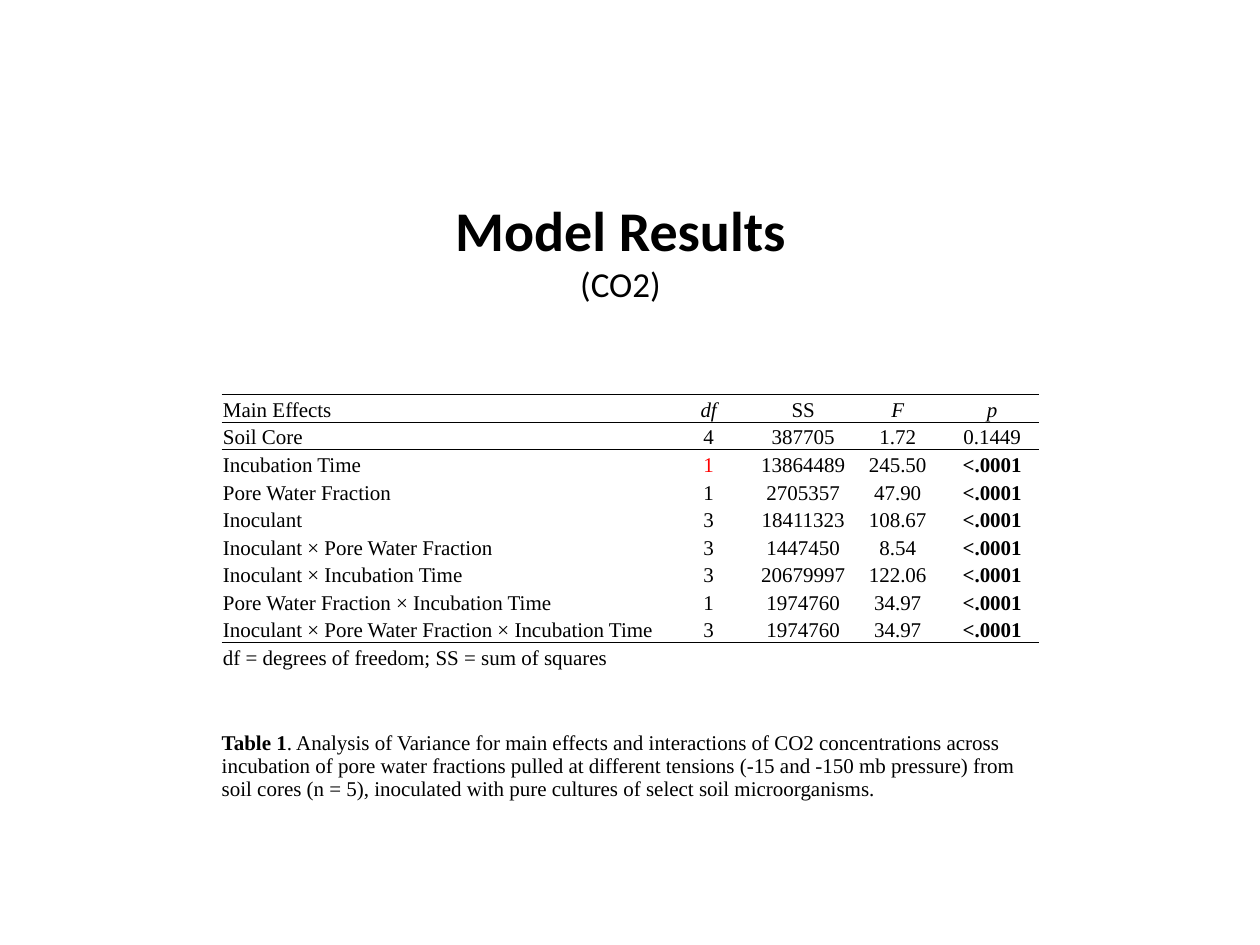
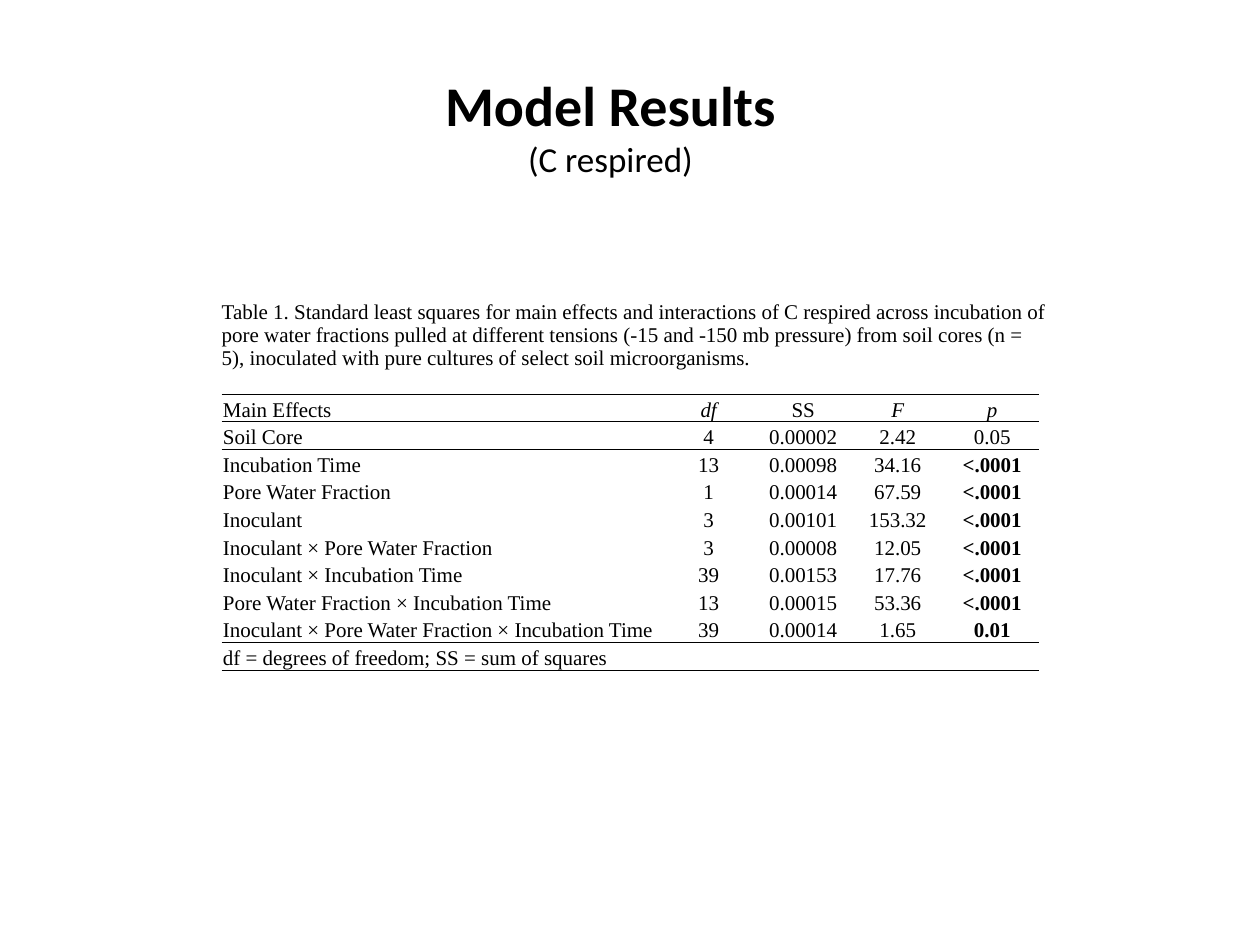
from lxml.etree import SubElement
from pptx import Presentation
from pptx.dml.color import RGBColor
from pptx.enum.text import MSO_ANCHOR as Anchor, MSO_AUTO_SIZE as AutoSize, PP_ALIGN as Align
from pptx.oxml.ns import qn
from pptx.util import Inches, Pt

BLACK = RGBColor(0x00, 0x00, 0x00)
RED = RGBColor(0xFF, 0x00, 0x00)
TITLE_FONT, TABLE_FONT = "Calibri", "Times New Roman"
TABLE_SIZE = Pt(12)
PLAIN_TABLE_STYLE = "{2D5ABB26-0587-4C30-8999-92F81FD0307C}"
TITLE_ONLY = 5

TABLE_LEFT, CAPTION_LEFT = Inches(1.76), Inches(1.75)
COLUMN_WIDTHS = [Inches(3.49)] + [Inches(0.75)] * 4
ROW_HEIGHT = Inches(2.19 / 10)
CAPTION_HEIGHT = Inches(0.61)
TITLE_WIDTH, TITLE_HEIGHT = Inches(2.85), Inches(0.98)

HEADINGS = ["Main Effects", "df", "SS", "F", "p"]
ITALIC_HEADINGS = {"df", "F", "p"}
EFFECTS = [
    "Soil Core",
    "Incubation Time",
    "Pore Water Fraction",
    "Inoculant",
    "Inoculant × Pore Water Fraction",
    "Inoculant × Incubation Time",
    "Pore Water Fraction × Incubation Time",
    "Inoculant × Pore Water Fraction × Incubation Time",
]
FOOTNOTE = ["df = degrees of freedom; SS = sum of squares", "", "", "", ""]
EMPTY_ROW = [""] * len(HEADINGS)
CAPTION_END = (
    "across incubation of pore water fractions pulled at different tensions "
    "(-15 and -150 mb pressure) from soil cores (n = 5), inoculated with pure "
    "cultures of select soil microorganisms."
)

MODELS = [
    {
        "response": "(CO2)",
        "title_at": (3.5, 1.5),
        "table_top": 3.13,
        "outer_rows": 0,
        "caption_top": 5.75,
        "caption_width": 6.5,
        "caption": [
            ("Table 1", True),
            (". Analysis of Variance for main effects and interactions of "
             "CO2 concentrations " + CAPTION_END, False),
        ],
        "red_cells": {("Incubation Time", 1)},
        "statistics": [
            ("4", "387705", "1.72", "0.1449"),
            ("1", "13864489", "245.50", "<.0001"),
            ("1", "2705357", "47.90", "<.0001"),
            ("3", "18411323", "108.67", "<.0001"),
            ("3", "1447450", "8.54", "<.0001"),
            ("3", "20679997", "122.06", "<.0001"),
            ("1", "1974760", "34.97", "<.0001"),
            ("3", "1974760", "34.97", "<.0001"),
        ],
    },
    {
        "response": "(C respired)",
        "title_at": (3.42, 0.51),
        "table_top": 2.91,
        "outer_rows": 1,
        "caption_top": 2.33,
        "caption_width": 6.58,
        "caption": [
            ("Table 1. Standard least squares for main effects and interactions of "
             "C respired " + CAPTION_END, False),
        ],
        "red_cells": set(),
        "statistics": [
            ("4", "0.00002", "2.42", "0.05"),
            ("13", "0.00098", "34.16", "<.0001"),
            ("1", "0.00014", "67.59", "<.0001"),
            ("3", "0.00101", "153.32", "<.0001"),
            ("3", "0.00008", "12.05", "<.0001"),
            ("39", "0.00153", "17.76", "<.0001"),
            ("13", "0.00015", "53.36", "<.0001"),
            ("39", "0.00014", "1.65", "0.01"),
        ],
    },
]


def add_plain_table(slide, left, top, widths, row_count, row_height):
    """Add a table without banding, grid or fills."""
    frame = slide.shapes.add_table(
        row_count, len(widths), left, top, sum(widths), row_height * row_count)
    table = frame.table
    table.first_row = table.horz_banding = False
    frame._element.find(".//" + qn("a:tableStyleId")).text = PLAIN_TABLE_STYLE
    for column, width in zip(table.columns, widths):
        column.width = width
    return table


def fill_cell(cell, runs, align=Align.LEFT, italic=False, color=BLACK, rules=()):
    """Write (text, bold) runs and draw thin rules on the sides named lnT or lnB."""
    cell.margin_left = cell.margin_right = cell.margin_top = Inches(0.01)
    cell.margin_bottom = 0
    cell.vertical_anchor = Anchor.BOTTOM
    properties = cell._tc.get_or_add_tcPr()
    for side in rules:
        line = SubElement(properties, qn("a:" + side), w=str(Pt(0.5)))
        solid = SubElement(line, qn("a:solidFill"))
        SubElement(solid, qn("a:srgbClr"), val=str(BLACK))
    cell.fill.background()
    paragraph = cell.text_frame.paragraphs[0]
    paragraph.alignment = align
    paragraph._p.get_or_add_endParaRPr().set("sz", str(int(TABLE_SIZE.pt * 100)))
    for text, bold in runs:
        if text:
            run = paragraph.add_run()
            run.text = text
            run.font.name, run.font.size = TABLE_FONT, TABLE_SIZE
            run.font.bold, run.font.italic = bold, italic
            run.font.color.rgb = color


presentation = Presentation()
presentation.slide_width, presentation.slide_height = Inches(10), Inches(7.5)

for model in MODELS:
    slide = presentation.slides.add_slide(presentation.slide_layouts[TITLE_ONLY])

    title = slide.shapes.title
    title.left, title.top = (Inches(length) for length in model["title_at"])
    title.width, title.height = TITLE_WIDTH, TITLE_HEIGHT
    title_frame = title.text_frame
    title_frame.word_wrap = False
    title_frame.auto_size = AutoSize.SHAPE_TO_FIT_TEXT
    title_frame.vertical_anchor = Anchor.TOP
    title_lines = [("Model Results", Pt(32), True), (model["response"], Pt(20), False)]
    for index, (text, size, bold) in enumerate(title_lines):
        paragraph = title_frame.add_paragraph() if index else title_frame.paragraphs[0]
        paragraph.alignment = Align.CENTER
        run = paragraph.add_run()
        run.text = text
        run.font.name, run.font.size, run.font.bold = TITLE_FONT, size, bold
        run.font.color.rgb = BLACK

    header_row = model["outer_rows"]
    padding = [EMPTY_ROW] * model["outer_rows"]
    effect_rows = [[effect, *values] for effect, values in zip(EFFECTS, model["statistics"])]
    rows = padding + [HEADINGS] + effect_rows + [FOOTNOTE] + padding
    ruled_rows = {header_row, header_row + 1, header_row + 1 + len(EFFECTS)}

    table = add_plain_table(slide, TABLE_LEFT, Inches(model["table_top"]),
                            COLUMN_WIDTHS, len(rows), ROW_HEIGHT)
    for row_index, row in enumerate(rows):
        rules = [side for side, edge in (("lnT", row_index), ("lnB", row_index + 1))
                 if edge in ruled_rows]
        for column_index, text in enumerate(row):
            is_p_value = row in effect_rows and column_index == len(HEADINGS) - 1
            significant = is_p_value and float(text.lstrip("<")) < 0.05
            fill_cell(
                table.cell(row_index, column_index),
                [(text, significant)],
                align=Align.CENTER if column_index else Align.LEFT,
                italic=row_index == header_row and text in ITALIC_HEADINGS,
                color=RED if (row[0], column_index) in model["red_cells"] else BLACK,
                rules=rules,
            )

    caption = add_plain_table(slide, CAPTION_LEFT, Inches(model["caption_top"]),
                              [Inches(model["caption_width"])], 1, CAPTION_HEIGHT)
    fill_cell(caption.cell(0, 0), model["caption"])

presentation.save("out.pptx")
